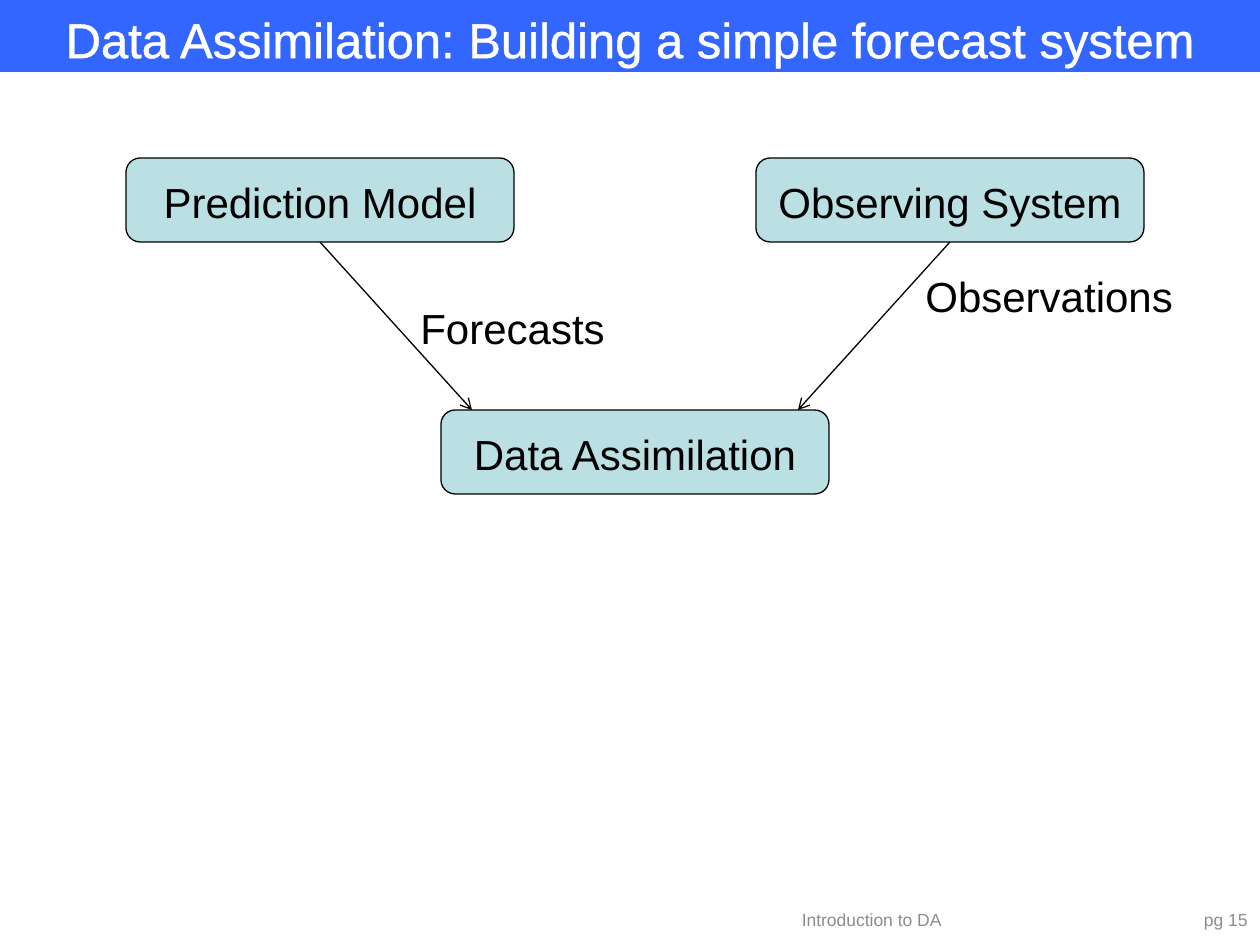
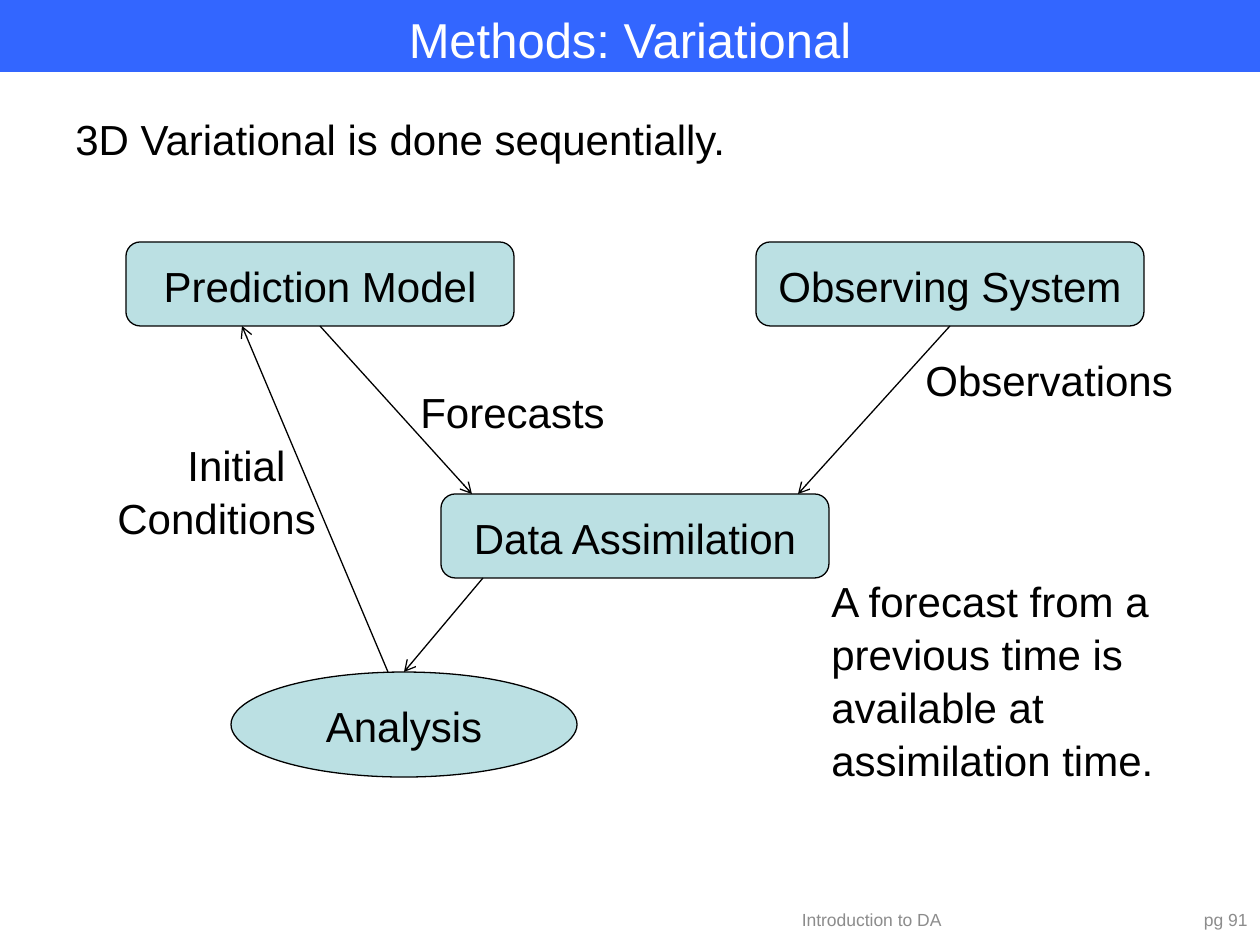
from lxml import etree
from pptx import Presentation, util as u
from pptx.dml.color import RGBColor
from pptx.enum import shapes, text
from pptx.oxml import ns

PX = u.Inches(1) / 126
FONT = "Arial"
BLACK = RGBColor(0x00, 0x00, 0x00)
WHITE = RGBColor(0xFF, 0xFF, 0xFF)
GREY = RGBColor(0x8C, 0x8C, 0x8C)
BLUE = RGBColor(0x33, 0x66, 0xFF)
TEAL = RGBColor(0xBB, 0xE0, 0xE3)
LEFT, CENTER, RIGHT = text.PP_ALIGN.LEFT, text.PP_ALIGN.CENTER, text.PP_ALIGN.RIGHT
TOP, MIDDLE = text.MSO_ANCHOR.TOP, text.MSO_ANCHOR.MIDDLE
TOP_SITE, BOTTOM_SITE = 0, 2

FOOTER = "Introduction to DA"
SLIDES = [
    {"title": "Data Assimilation: Building a simple forecast system",
     "outlined": True, "page": 15, "diagram_top": 158, "cycle": False, "notes": []},
    {"title": "Methods: Variational",
     "outlined": False, "page": 91, "diagram_top": 242, "cycle": True,
     "notes": [("3D Variational is done sequentially.", (63, 105, 1144, 63)),
               ("A forecast from a previous time is available at assimilation time.",
                (819, 567, 388, 217))]},
]

# Tops in the diagram are measured from the top of its first row.
BOX_WIDTH, BOX_HEIGHT = 388, 84
BOXES = [("Prediction Model", 126, 0),
         ("Observing System", 756, 0),
         ("Data Assimilation", 441, 252)]
INPUTS = [("Prediction Model", 472), ("Observing System", 798)]
LABELS = [("Forecasts", (408, 136, 212, 63)), ("Observations", (913, 104, 275, 63))]
ANALYSIS = ("Analysis", (231, 430, 346, 105))
INITIAL_CONDITIONS = ("Initial\nConditions", (105, 189, 226, 115))
INITIAL_INDENT = 70


def px(*lengths):
    return [u.Emu(round(length * PX)) for length in lengths]


def write(shape, words, size, color, align=LEFT, anchor=TOP, wrap=True, spacing=1.05):
    frame = shape.text_frame
    frame.text = words
    frame.word_wrap = wrap
    frame.vertical_anchor = anchor
    for paragraph in frame.paragraphs:
        paragraph.alignment = align
        paragraph.line_spacing = spacing
        for run in paragraph.runs:
            run.font.size = u.Pt(size)
            run.font.name = FONT
            run.font.color.rgb = color


def add_text(slide, words, frame, size=24, color=BLACK, **layout):
    shape = slide.shapes.add_textbox(*px(*frame))
    write(shape, words, size, color, **layout)
    return shape


def add_node(slide, kind, words, frame):
    node = slide.shapes.add_shape(kind, *px(*frame))
    node.shadow.inherit = False
    node.fill.solid()
    node.fill.fore_color.rgb = TEAL
    node.line.color.rgb = BLACK
    node.line.width = u.Pt(0.75)
    write(node, words, 24, BLACK, CENTER, MIDDLE, wrap=False)
    return node


def add_arrow(slide, start, end):
    arrow = slide.shapes.add_connector(shapes.MSO_CONNECTOR.STRAIGHT, *px(*start, *end))
    arrow.line.color.rgb = BLACK
    arrow.line.width = u.Pt(0.75)
    etree.SubElement(arrow.line._get_or_add_ln(), ns.qn("a:tailEnd"), type="arrow")
    etree.SubElement(arrow._element.spPr, ns.qn("a:effectLst"))
    return arrow


def add_diagram(slide, top):
    """Draw the two sources feeding data assimilation."""
    nodes = {}
    for words, x, y in BOXES:
        nodes[words] = add_node(slide, shapes.MSO_SHAPE.ROUNDED_RECTANGLE, words,
                                (x, top + y, BOX_WIDTH, BOX_HEIGHT))
        nodes[words].adjustments[0] = 0.17
    lefts = {words: x for words, x, y in BOXES}
    for source, end_x in INPUTS:
        arrow = add_arrow(slide, (lefts[source] + BOX_WIDTH / 2, top + BOX_HEIGHT),
                          (end_x, top + 252))
        arrow.begin_connect(nodes[source], BOTTOM_SITE)
    for words, (x, y, width, height) in LABELS:
        add_text(slide, words, (x, top + y, width, height), wrap=False)


def add_cycle(slide, top):
    """Draw the analysis and its way back to the prediction model."""
    words, (x, y, width, height) = ANALYSIS
    analysis = add_node(slide, shapes.MSO_SHAPE.OVAL, words, (x, top + y, width, height))
    arrow = add_arrow(slide, (483, top + 336), (x + width / 2, top + y))
    arrow.end_connect(analysis, TOP_SITE)
    add_arrow(slide, (388, top + y), (242, top + BOX_HEIGHT))

    words, (x, y, width, height) = INITIAL_CONDITIONS
    label = add_text(slide, words, (x, top + y, width, height), wrap=False)
    first = label.text_frame.paragraphs[0]._p.get_or_add_pPr()
    first.set("marL", str(px(INITIAL_INDENT)[0]))


def add_title_band(slide, title, outlined):
    band = slide.shapes.add_shape(shapes.MSO_SHAPE.RECTANGLE, *px(0, 0, 1260, 72))
    band.shadow.inherit = False
    band.fill.solid()
    band.fill.fore_color.rgb = BLUE
    band.line.fill.background()
    write(band, title, 28, WHITE, CENTER)
    if outlined:
        properties = band.text_frame.paragraphs[0].runs[0].font._element
        outline = etree.Element(ns.qn("a:ln"), w=str(u.Pt(1.45)))
        fill = etree.SubElement(outline, ns.qn("a:solidFill"))
        etree.SubElement(fill, ns.qn("a:srgbClr"), val=str(WHITE))
        properties.insert(0, outline)


def add_footer(slide, page):
    for words, x, width, align in [(FOOTER, 609, 525, CENTER),
                                   (f"pg {page}", 1134, 126, RIGHT)]:
        add_text(slide, words, (x, 895, width, 50), 10, GREY,
                 align=align, anchor=MIDDLE, spacing=1.0)


def main():
    presentation = Presentation()
    presentation.slide_width, presentation.slide_height = px(1260, 945)
    for content in SLIDES:
        slide = presentation.slides.add_slide(presentation.slide_layouts[6])
        add_diagram(slide, content["diagram_top"])
        if content["cycle"]:
            add_cycle(slide, content["diagram_top"])
        add_title_band(slide, content["title"], content["outlined"])
        add_footer(slide, content["page"])
        for words, frame in content["notes"]:
            add_text(slide, words, frame)
    presentation.save("out.pptx")


if __name__ == "__main__":
    main()
